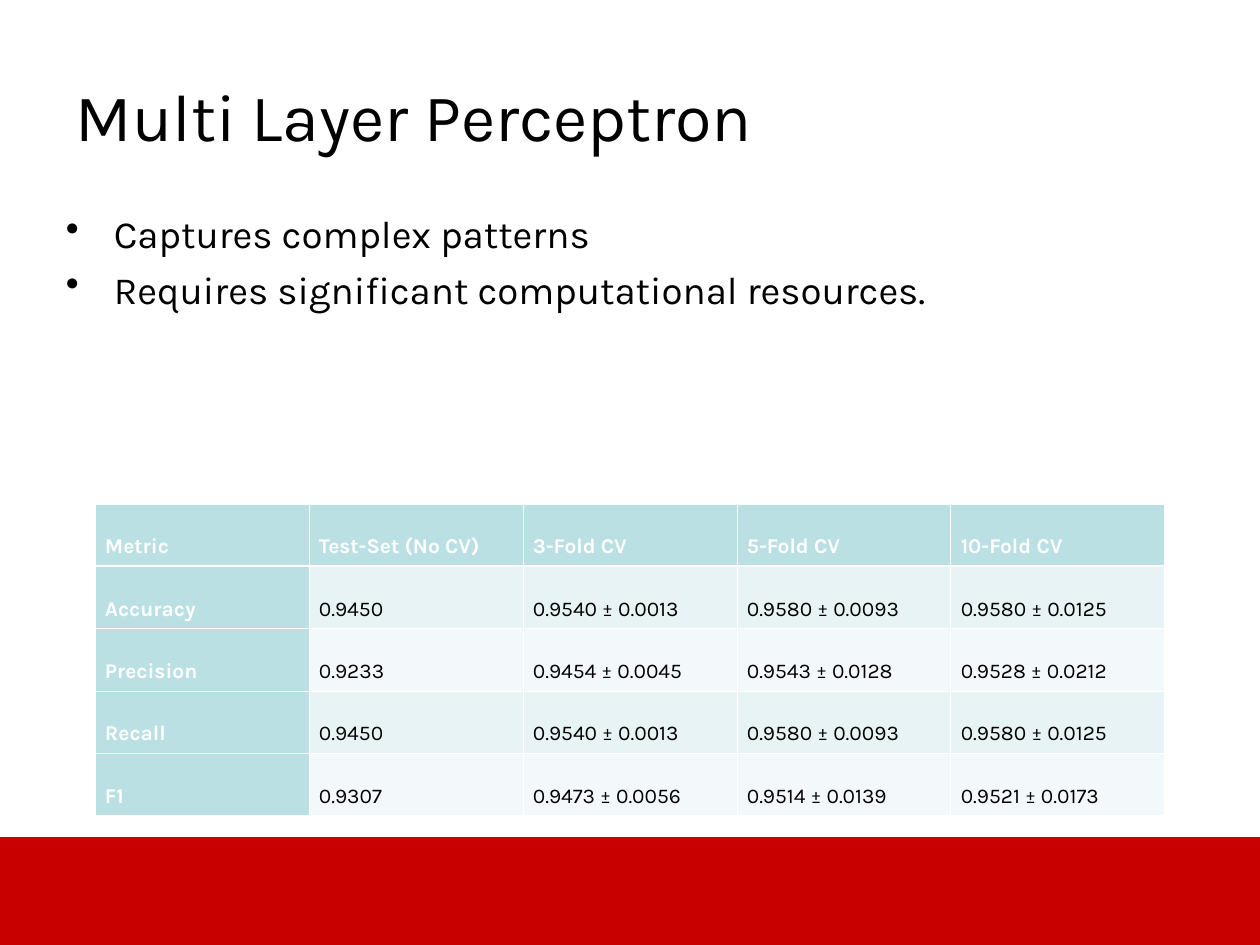
from dataclasses import dataclass

from lxml import etree
from pptx import Presentation
from pptx.dml.color import RGBColor
from pptx.enum.shapes import MSO_SHAPE
from pptx.enum.text import MSO_ANCHOR, PP_ALIGN
from pptx.oxml.ns import qn
from pptx.util import Pt

RECTANGLE = MSO_SHAPE.RECTANGLE
TOP = MSO_ANCHOR.TOP
JUSTIFY = PP_ALIGN.JUSTIFY

EMU_PER_PX = 914400 / 126
FONT = "Karla"
BLACK, WHITE, RED, TEAL = "000000", "FFFFFF", "C80000", "BBE0E3"
ROW_TINTS = ("E7F3F4", "F3F9FA")
THIN_LINE, HEADER_LINE = 0.45, 1.47
HANGING_INDENT = 48

TABLE_ROWS = (
    ("Metric", "Test-Set (No CV)", "3-Fold CV", "5-Fold CV", "10-Fold CV"),
    ("Accuracy", "0.9450", "0.9540 ± 0.0013", "0.9580 ± 0.0093", "0.9580 ± 0.0125"),
    ("Precision", "0.9233", "0.9454 ± 0.0045", "0.9543 ± 0.0128", "0.9528 ± 0.0212"),
    ("Recall", "0.9450", "0.9540 ± 0.0013", "0.9580 ± 0.0093", "0.9580 ± 0.0125"),
    ("F1", "0.9307", "0.9473 ± 0.0056", "0.9514 ± 0.0139", "0.9521 ± 0.0173"),
)


@dataclass(frozen=True)
class Area:
    left: int
    top: int
    width: int
    height: int

    def emu(self) -> tuple[int, ...]:
        return tuple(map(px, (self.left, self.top, self.width, self.height)))


@dataclass(frozen=True)
class TextBlock:
    area: Area
    lines: tuple[str, ...]
    size: int
    top_inset: int
    bulleted: bool = False


TEXT_BLOCKS = (
    TextBlock(Area(63, 63, 1071, 158), ("Multi Layer Perceptron",), 38, 12),
    TextBlock(
        Area(53, 199, 1144, 325),
        ("Captures complex patterns", "Requires significant computational resources."),
        22, 11, True,
    ),
)
BAND = Area(0, 837, 1260, 108)
TABLE = Area(95, 504, 1070, 250)


def px(length: int) -> int:
    return round(length * EMU_PER_PX)


def colour(value: str) -> RGBColor:
    return RGBColor.from_string(value)


def apply(target, values: dict) -> None:
    for name, value in values.items():
        setattr(target, name, value)


def style_font(font, size: int, value: str, bold: bool = False) -> None:
    apply(font, {"name": FONT, "size": Pt(size), "bold": bold})
    font.color.rgb = colour(value)


def add_bullet(para) -> None:
    properties = para._p.get_or_add_pPr()
    apply_indent = {"marL": px(HANGING_INDENT), "indent": -px(HANGING_INDENT)}
    for name, value in apply_indent.items():
        properties.set(name, str(value))
    etree.SubElement(properties, qn("a:buChar")).set("char", "•")


def draw_band(page, area: Area) -> None:
    band = page.shapes.add_shape(RECTANGLE, *area.emu())
    band.shadow.inherit = False
    band.fill.solid()
    band.fill.fore_color.rgb = colour(RED)
    band.line.fill.background()


def draw_text(page, block: TextBlock) -> None:
    frame = page.shapes.add_textbox(*block.area.emu()).text_frame
    apply(frame, {
        "word_wrap": True,
        "vertical_anchor": TOP,
        "margin_left": px(13),
        "margin_right": px(13),
        "margin_top": px(block.top_inset),
        "margin_bottom": px(6),
    })
    for index, line in enumerate(block.lines):
        para = frame.paragraphs[0] if index == 0 else frame.add_paragraph()
        if block.bulleted:
            add_bullet(para)
        if index > 0:
            para.space_before = Pt(5.5)
        span = para.add_run()
        span.text = line
        style_font(span.font, block.size, BLACK)


def add_borders(cell, row: int) -> None:
    widths = {
        "L": THIN_LINE,
        "R": THIN_LINE,
        "T": HEADER_LINE if row == 1 else THIN_LINE,
        "B": HEADER_LINE if row == 0 else THIN_LINE,
    }
    properties = cell._tc.get_or_add_tcPr()
    for index, (side, width) in enumerate(widths.items()):
        line = etree.Element(qn(f"a:ln{side}"), w=str(Pt(width)))
        fill = etree.SubElement(line, qn("a:solidFill"))
        etree.SubElement(fill, qn("a:srgbClr")).set("val", WHITE)
        properties.insert(index, line)


def draw_cell(cell, text: str, row: int, column: int) -> None:
    heading = row == 0 or column == 0
    apply(cell, {
        "vertical_anchor": TOP,
        "margin_left": px(10),
        "margin_right": px(10),
        "margin_top": px(6),
        "margin_bottom": px(6),
    })
    cell.fill.solid()
    cell.fill.fore_color.rgb = colour(TEAL if heading else ROW_TINTS[(row - 1) % 2])
    add_borders(cell, row)
    para = cell.text_frame.paragraphs[0]
    apply(para, {"alignment": JUSTIFY, "line_spacing": 2.0})
    span = para.add_run()
    span.text = text
    style_font(span.font, 12, WHITE if heading else BLACK, heading)


def draw_table(page, area: Area) -> None:
    table = page.shapes.add_table(
        len(TABLE_ROWS), len(TABLE_ROWS[0]), *area.emu()
    ).table
    table.first_col = True
    for row, texts in enumerate(TABLE_ROWS):
        for column, text in enumerate(texts):
            draw_cell(table.cell(row, column), text, row, column)


def main() -> None:
    deck = Presentation()
    apply(deck, {"slide_width": px(1260), "slide_height": px(945)})
    page = deck.slides.add_slide(deck.slide_layouts[6])
    draw_band(page, BAND)
    for block in TEXT_BLOCKS:
        draw_text(page, block)
    draw_table(page, TABLE)
    deck.save("out.pptx")


if __name__ == "__main__":
    main()
